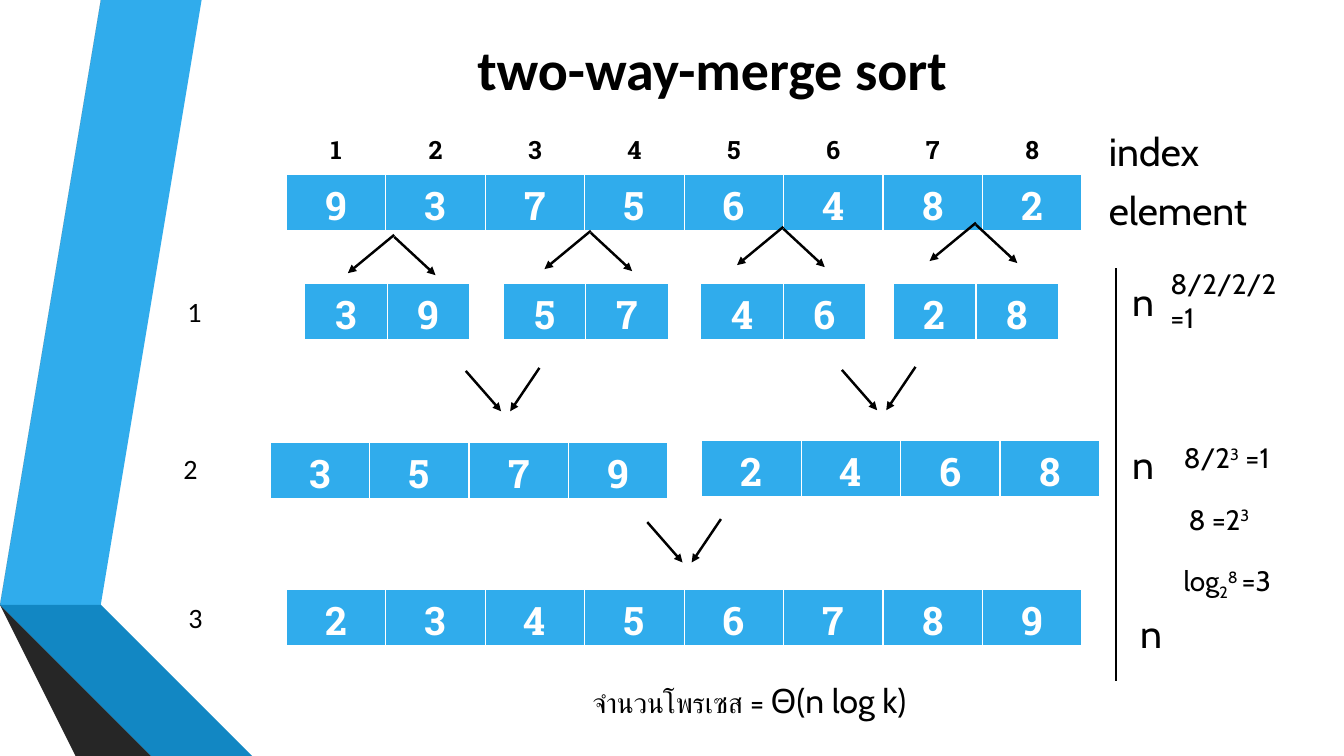
from lxml import etree
from pptx import Presentation, util as u
from pptx.dml.color import RGBColor
from pptx.enum import shapes, text
from pptx.oxml.ns import qn

BLUE, BLACK, WHITE = "30ACEC", "000000", "FFFFFF"
NUM = dict(name="Calibri", size=20)
BIG = dict(name="Cabin", size=28)
NOTE = dict(name="Cabin", size=20)
CELL = dict(name="Roboto Slab", size=28, bold=True)
INDEX = dict(name="Roboto Slab", size=18, bold=True)


def color(code):
    return RGBColor.from_string(code)


def style(run, form, code=BLACK):
    for key, val in form.items():
        setattr(run.font, key, u.Pt(val) if key == "size" else val)
    run.font.color.rgb = color(code)


def label(slide, box, parts, form, align=text.PP_ALIGN.LEFT):
    frame = slide.shapes.add_textbox(*map(u.Inches, box)).text_frame
    frame.word_wrap = True
    frame.vertical_anchor = text.MSO_ANCHOR.MIDDLE
    para = frame.paragraphs[0]
    para.alignment = align
    for words, extra in parts:
        run = para.add_run()
        run.text = words
        look = dict(form, **extra)
        shift = look.pop("shift", 0)
        style(run, look)
        if shift:
            run._r.get_or_add_rPr().set("baseline", str(shift * 1000))


def edge(cell):
    props = cell._tc.get_or_add_tcPr()
    for spot, (side, width) in enumerate(dict(L=1, R=1, T=1, B=3).items()):
        line = etree.Element(qn("a:ln" + side), w=str(u.Pt(width)))
        fill = etree.SubElement(line, qn("a:solidFill"))
        etree.SubElement(fill, qn("a:srgbClr"), val=WHITE)
        props.insert(spot, line)


def array(slide, box, items, form=CELL, code=WHITE, back=BLUE):
    table = slide.shapes.add_table(1, len(items), *map(u.Inches, box)).table
    table.first_row = table.horz_banding = False
    for cell, item in zip(table.iter_cells(), items):
        if back:
            cell.fill.solid()
            cell.fill.fore_color.rgb = color(back)
        else:
            cell.fill.background()
        edge(cell)
        para = cell.text_frame.paragraphs[0]
        para.alignment = text.PP_ALIGN.CENTER
        run = para.add_run()
        run.text = item
        style(run, form, code)


def stroke(slide, ends, width=1.75, head=True):
    line = slide.shapes.add_connector(
        shapes.MSO_CONNECTOR.STRAIGHT, *map(u.Inches, ends))
    line.line.width = u.Pt(width)
    line.line.color.rgb = color(BLACK)
    if head:
        etree.SubElement(line.line._get_or_add_ln(), qn("a:tailEnd"), type="triangle")
    etree.SubElement(line._element.spPr, qn("a:effectLst"))


def split(slide, x, y):
    stroke(slide, (x, y, x - 0.46, y + 0.38))
    stroke(slide, (x, y + 0.02, x + 0.41, y + 0.4))


def merge(slide, x, y):
    stroke(slide, (x, y, x + 0.35, y + 0.4))
    stroke(slide, (x + 0.73, y - 0.03, x + 0.44, y + 0.4))


def ribbon(slide, x, y):
    bands = [
        (BLUE, [(0.34, 5.78), (0.61, 5.83), (1.57, 0), (1.29, 0)]),
        ("595959", [(1.23, 0), (0.95, 0), (0, 5.73), (0.28, 5.77)]),
        ("262626", [(0, 5.73), (1.29, 7.5), (1.35, 7.5)]),
        ("0C5A82", [(0.34, 5.79), (1.92, 7.5), (1.98, 7.5)]),
        ("1287C3", [(0.34, 5.79), (1.98, 7.5), (2.67, 7.5), (0.61, 5.83),
                    (0.34, 5.78)]),
        ("404040", [(1.86, 7.5), (0.32, 5.83), (0.28, 5.77), (0, 5.73),
                    (1.35, 7.5)]),
    ]
    for code, points in bands:
        spots = [(x + dx, y + dy) for dx, dy in points]
        path = slide.shapes.build_freeform(*spots[0], scale=u.Inches(1))
        path.add_line_segments(spots[1:], close=True)
        band = path.convert_to_shape()
        band.shadow.inherit = False
        band.fill.solid()
        band.fill.fore_color.rgb = color(code)
        band.line.fill.background()


def steps(slide, x, y):
    for word, dx, dy in [("1", 0.04, 0), ("2", 0, 1.56), ("3", 0.05, 3.03)]:
        label(slide, (x + dx, y + dy, 0.29, 0.5), [(word, {})], NUM)


def input_rows(slide, x, y, w):
    array(slide, (x, y + 0.46, w, 0.57), "93756482")
    array(slide, (x, y, w, 0.41), "12345678", INDEX, BLACK, None)
    for row, word in enumerate(["index", "element"]):
        label(slide, (x + w + 0.17, y - 0.02 + 0.58 * row, 1.6, 0.5),
              [(word, {})], BIG)


def sort_rows(slide, x, y, w):
    for i, apex in enumerate([3.91, 5.86, 7.77, 9.68]):
        split(slide, apex, y - 0.48 - 0.04 * i)
    for left, pair in zip([3.02, 4.99, 6.95, 8.86], ["39", "57", "46", "28"]):
        array(slide, (left, y, 1.64, 0.57), pair)
    array(slide, (x - 0.16, y + 1.58, w / 2, 0.57), "3579")
    array(slide, (x + 4.12, y + 1.56, w / 2, 0.57), "2468")
    array(slide, (x, y + 3.04, w, 0.57), "23456789")
    for left, top in [(4.62, 3.68), (8.35, 3.67), (6.42, 5.18)]:
        merge(slide, left, top)


def costs(slide, x, y, h):
    stroke(slide, (x, y, x, y + h), 1.25, False)
    for dx, dy in [(0.06, 0.07), (0.06, 1.69), (0.14, 3.37)]:
        label(slide, (x + dx, y + dy, 0.6, 0.5), [("n", {})], BIG)
    up, low = dict(shift=30), dict(shift=-25)
    sums = [
        (0.44, 0.07, [("8/2/2/2 =1", {})]),
        (0.57, 1.63, [("8/2", {}), ("3", up), (" =1", {})]),
        (0.62, 2.24, [("8 =2", {}), ("3", up)]),
        (0.57, 2.87, [("log", {}), ("2", low), ("8 ", up), ("=3", {})]),
    ]
    for dx, dy, parts in sums:
        label(slide, (x + dx, y + dy, 1.4, 0.5), parts, NOTE)


def main():
    deck = Presentation()
    deck.slide_width, deck.slide_height = u.Inches(13.33), u.Inches(7.5)
    slide = deck.slides.add_slide(deck.slide_layouts[6])
    ribbon(slide, 0.16, 0)
    steps(slide, 1.72, 2.84)
    input_rows(slide, 2.84, 1.27, 7.89)
    sort_rows(slide, 2.84, 2.81, 7.89)
    label(slide, (4.17, 0.18, 5.91, 0.99), [("two-way-merge sort ", {})],
          dict(name="Calibri", size=40, bold=True), text.PP_ALIGN.CENTER)
    costs(slide, 11.07, 2.66, 4.1)
    label(slide, (5.78, 6.7, 4.3, 0.5),
          [("จำนวนโพรเซส = ", {}), ("Θ(n log k)", dict(size=24))], NOTE)
    deck.save("out.pptx")


if __name__ == "__main__":
    main()
